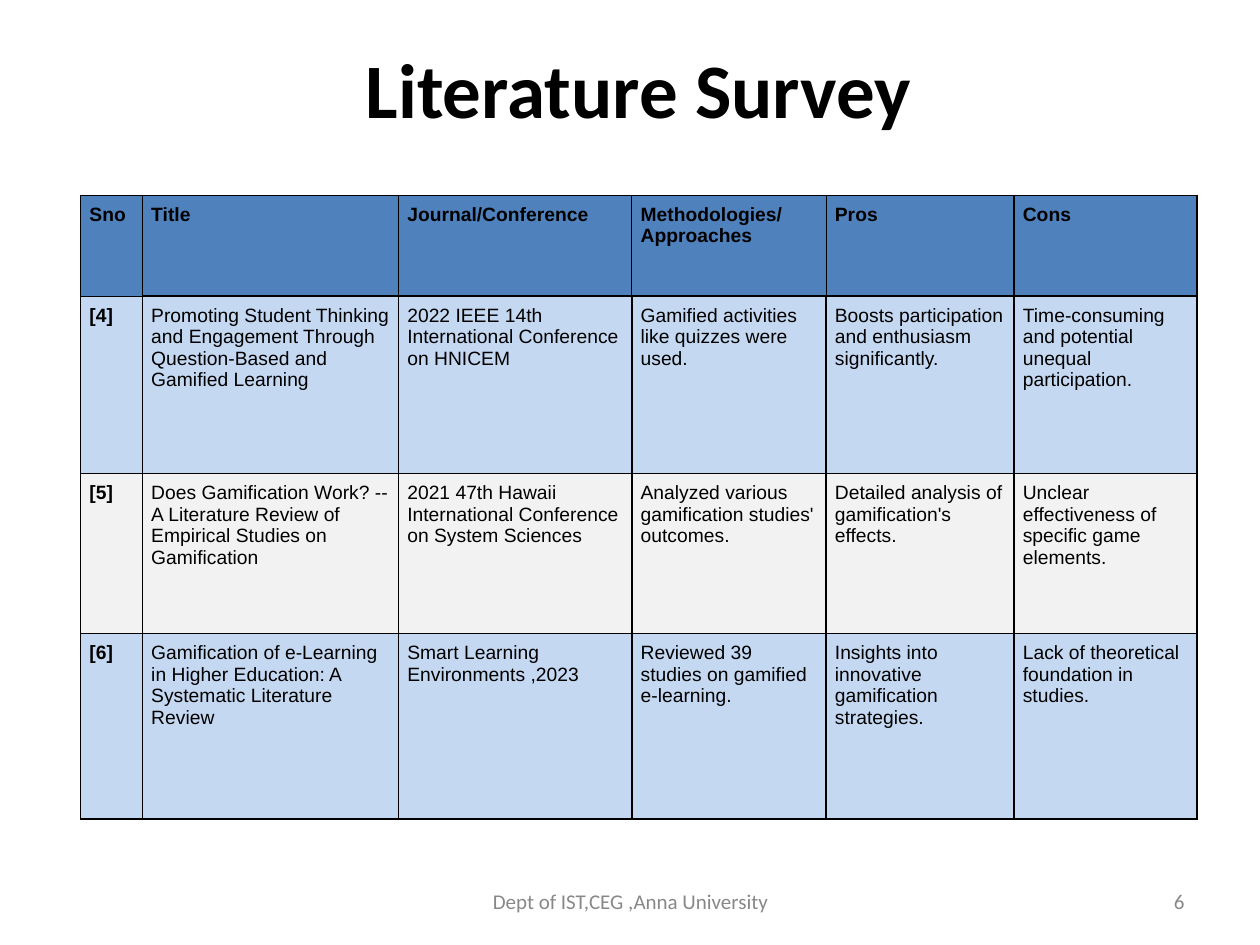
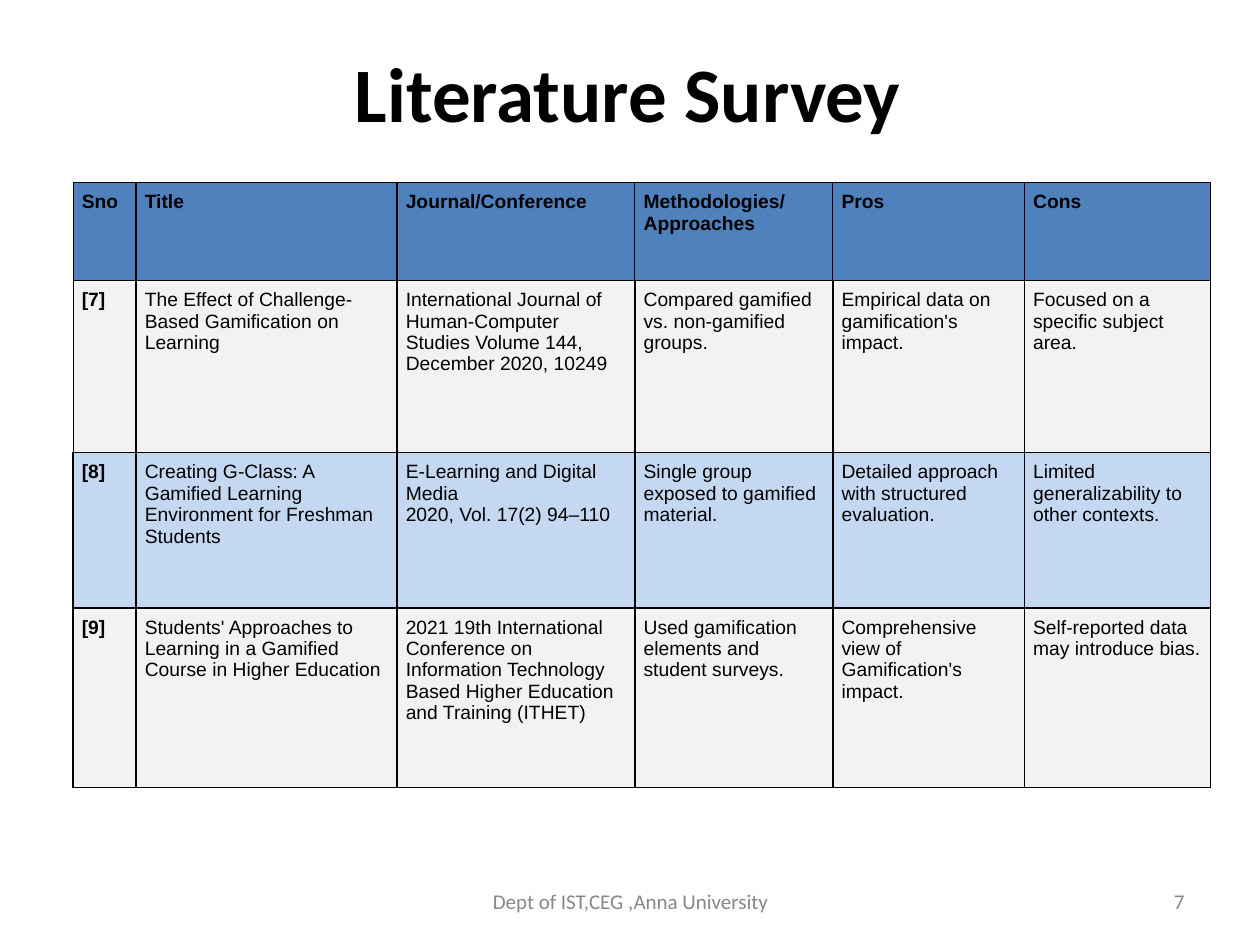
"""Build two literature survey slides, each with a table of three papers."""
import pptx
import pptx.dml.color
import pptx.enum.text
import pptx.oxml.ns
import pptx.util
from lxml import etree

RGBColor = pptx.dml.color.RGBColor
Inches = pptx.util.Inches
Align = pptx.enum.text.PP_ALIGN

BLACK = RGBColor(0x00, 0x00, 0x00)
GREY = RGBColor(0x88, 0x88, 0x88)
HEADER_BLUE = RGBColor(0x4F, 0x81, 0xBD)
EVEN_BLUE = RGBColor(0xC5, 0xD8, 0xF1)
ODD_GREY = RGBColor(0xF2, 0xF2, 0xF2)

TITLE = "Literature Survey"
FOOTER = "Dept of IST,CEG ,Anna University"
FOOTER_BOX = (3.42, 6.95, 3.17, 0.4)
NUMBER_BOX = (7.17, 6.95, 2.33, 0.4)

COLUMN_WEIGHTS = (0.49, 2.03, 1.85, 1.54, 1.49, 1.45)
ROW_WEIGHTS = (0.8, 1.41, 1.27, 1.47)
CELL_MARGIN = 0.07
THIN, THICK = 0.75, 1
HEADINGS = ("Sno", "Title", "Journal/Conference", "Methodologies/\nApproaches", "Pros", "Cons")

SURVEYS = (
    {
        "number": 6,
        "title_box": (0.64, 0.3, 8.86, 0.8),
        "table_box": (0.64, 1.55, 8.86, 4.95),
        "first_reference": 4,
        "papers": (
            ("Promoting Student Thinking and Engagement Through Question-Based and Gamified Learning",
             "2022 IEEE 14th International Conference on HNICEM",
             "Gamified activities like quizzes were used.",
             "Boosts participation and enthusiasm significantly.",
             "Time-consuming and potential unequal participation."),
            ("Does Gamification Work? -- A Literature Review of Empirical Studies on Gamification",
             "2021 47th Hawaii International Conference on System Sciences",
             "Analyzed various gamification studies' outcomes.",
             "Detailed analysis of gamification's effects.",
             "Unclear effectiveness of specific game elements."),
            ("Gamification of e-Learning in Higher Education: A Systematic Literature Review",
             "Smart Learning Environments ,2023",
             "Reviewed 39 studies on gamified e-learning.",
             "Insights into innovative gamification strategies.",
             "Lack of theoretical foundation in studies."),
        ),
    },
    {
        "number": 7,
        "title_box": (0.47, 0.3, 9.03, 0.85),
        "table_box": (0.58, 1.45, 9.03, 4.8),
        "first_reference": 7,
        "papers": (
            ("The Effect of Challenge-Based Gamification on Learning",
             "International Journal of Human-Computer Studies Volume 144, December 2020, 10249",
             "Compared gamified vs. non-gamified groups.",
             "Empirical data on gamification's impact.",
             "Focused on a specific subject area."),
            ("Creating G-Class: A Gamified Learning Environment for Freshman Students",
             "E-Learning and Digital Media\n2020, Vol. 17(2) 94–110",
             "Single group exposed to gamified material.",
             "Detailed approach with structured evaluation.",
             "Limited generalizability to other contexts."),
            ("Students' Approaches to Learning in a Gamified Course in Higher Education",
             "2021 19th International Conference on Information Technology Based Higher Education"
             " and Training (ITHET)",
             "Used gamification elements and student surveys.",
             "Comprehensive view of Gamification's impact.",
             "Self-reported data may introduce bias."),
        ),
    },
)


def write_text(frame, text, size, font, color, bold=False, align=Align.LEFT):
    """Fill a text frame with one paragraph for each line of text."""
    frame.word_wrap = True
    for index, line in enumerate(text.split("\n")):
        paragraph = frame.add_paragraph() if index else frame.paragraphs[0]
        paragraph.alignment = align
        run = paragraph.add_run()
        run.text = line
        run.font.size = pptx.util.Pt(size)
        run.font.name = font
        run.font.bold = bold
        run.font.color.rgb = color


def add_label(slide, box, text, size, color, bold=False, align=Align.CENTER):
    """Add a vertically centred text box."""
    frame = slide.shapes.add_textbox(*map(Inches, box)).text_frame
    frame.vertical_anchor = pptx.enum.text.MSO_ANCHOR.MIDDLE
    write_text(frame, text, size, "Calibri", color, bold, align)


def set_borders(cell, left, right, top, bottom):
    """Draw black cell borders with the given widths in points."""
    qn = pptx.oxml.ns.qn
    properties = cell._tc.get_or_add_tcPr()
    for side, width in zip("LRTB", (left, right, top, bottom)):
        line = etree.SubElement(properties, qn(f"a:ln{side}"), w=str(pptx.util.Pt(width)))
        fill = etree.SubElement(line, qn("a:solidFill"))
        etree.SubElement(fill, qn("a:srgbClr"), val=str(BLACK))


def border_widths(row, column):
    """Return left, right, top and bottom widths: thin around the header and first reference."""
    if row == 0:
        return THIN, THIN, THIN, THICK if column else THIN
    if row == 1 and column == 0:
        return THIN, THICK, THIN, THICK
    return THICK, THICK, THICK, THICK


def fill_cell(cell, text, color, bold, borders):
    """Style one table cell and write its text."""
    cell.margin_left = cell.margin_right = Inches(CELL_MARGIN)
    cell.margin_top = cell.margin_bottom = Inches(CELL_MARGIN)
    set_borders(cell, *borders)
    cell.fill.solid()
    cell.fill.fore_color.rgb = color
    write_text(cell.text_frame, text, 11, "Arial", BLACK, bold)


def share_length(total, weights, parts):
    """Divide a length in inches among rows or columns by weight."""
    for part, weight in zip(parts, weights):
        size = Inches(total * weight / sum(weights))
        if hasattr(part, "width"):
            part.width = size
        else:
            part.height = size


def add_survey_table(slide, box, first_reference, papers):
    """Add the table of papers, shading rows by even or odd reference number."""
    records = [HEADINGS]
    colors = [HEADER_BLUE]
    for reference, paper in enumerate(papers, first_reference):
        records.append((f"[{reference}]", *paper))
        colors.append(ODD_GREY if reference % 2 else EVEN_BLUE)
    table = slide.shapes.add_table(len(records), len(HEADINGS), *map(Inches, box)).table
    table.horz_banding = False
    share_length(box[2], COLUMN_WEIGHTS, table.columns)
    share_length(box[3], ROW_WEIGHTS, table.rows)
    for row, (record, color) in enumerate(zip(records, colors)):
        for column, text in enumerate(record):
            bold = row == 0 or column == 0
            fill_cell(table.cell(row, column), text, color, bold, border_widths(row, column))


def add_survey_slide(presentation, survey):
    """Add a slide with title, survey table, slide number and footer."""
    slide = presentation.slides.add_slide(presentation.slide_layouts[6])
    add_label(slide, survey["title_box"], TITLE, 44, BLACK, bold=True)
    add_survey_table(slide, survey["table_box"], survey["first_reference"], survey["papers"])
    add_label(slide, NUMBER_BOX, str(survey["number"]), 12, GREY, align=Align.RIGHT)
    add_label(slide, FOOTER_BOX, FOOTER, 12, GREY)


def main():
    """Build and save the presentation."""
    presentation = pptx.Presentation()
    presentation.slide_width = Inches(10)
    presentation.slide_height = Inches(7.5)
    for survey in SURVEYS:
        add_survey_slide(presentation, survey)
    presentation.save("out.pptx")


if __name__ == "__main__":
    main()
